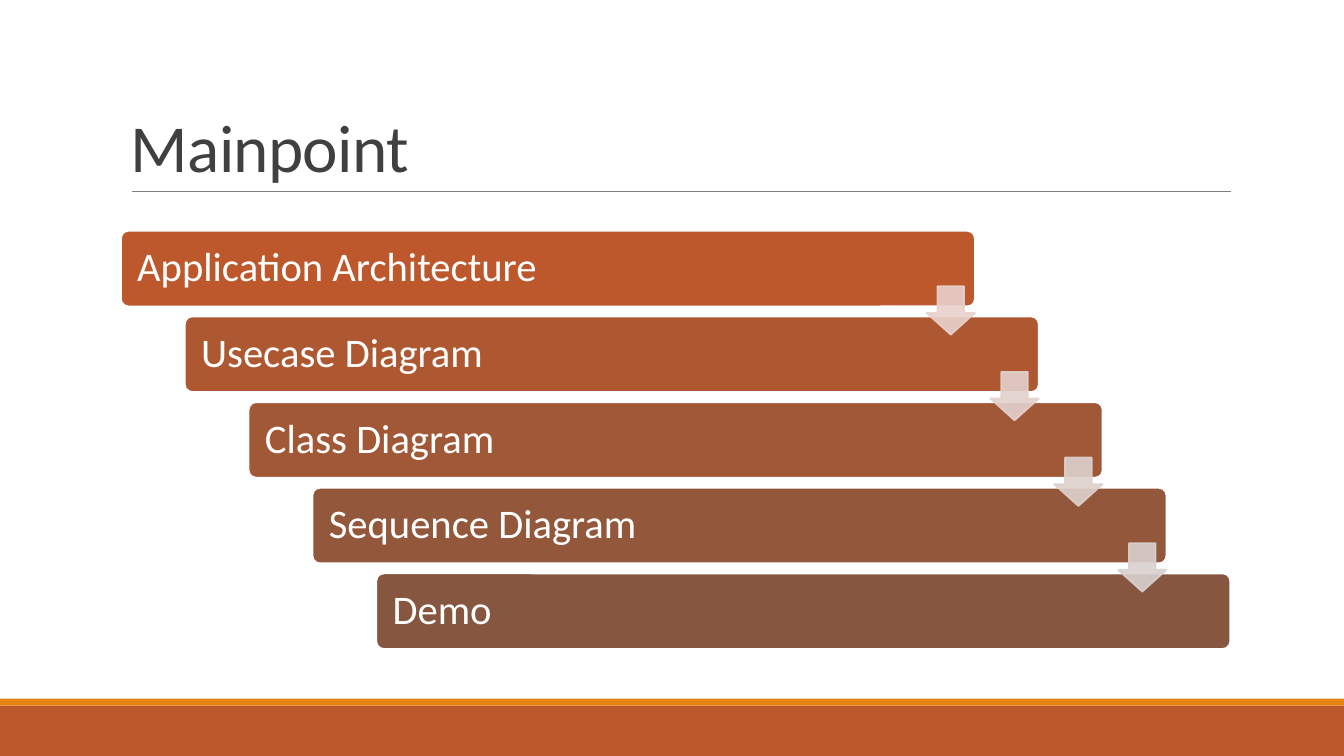
from dataclasses import dataclass

from lxml import etree
from pptx import Presentation
from pptx.dml.color import RGBColor
from pptx.enum.shapes import MSO_CONNECTOR, MSO_SHAPE
from pptx.enum.text import MSO_ANCHOR, PP_ALIGN
from pptx.oxml.ns import qn
from pptx.shapes.autoshape import Shape
from pptx.util import Inches, Pt

RECT = MSO_SHAPE.RECTANGLE
ROUND = MSO_SHAPE.ROUNDED_RECTANGLE
DOWN = MSO_SHAPE.DOWN_ARROW
LINE = MSO_CONNECTOR.STRAIGHT
LEFT = PP_ALIGN.LEFT
MIDDLE = MSO_ANCHOR.MIDDLE
BOTTOM = MSO_ANCHOR.BOTTOM

WHITE = RGBColor(0xFF, 0xFF, 0xFF)
DARK = RGBColor(0x40, 0x40, 0x40)
GRAY = RGBColor(0x80, 0x80, 0x80)
RUST = RGBColor(0xBD, 0x58, 0x2C)
AMBER = RGBColor(0xE4, 0x83, 0x12)
CLAY = RGBColor(0xAE, 0x58, 0x32)
BRICK = RGBColor(0xA0, 0x58, 0x37)
BROWN = RGBColor(0x93, 0x57, 0x3C)
UMBER = RGBColor(0x86, 0x56, 0x40)
ROSE = RGBColor(0xE8, 0xD1, 0xCD)
BLUSH = RGBColor(0xE3, 0xD1, 0xCD)
SAND = RGBColor(0xDE, 0xD1, 0xCE)
ASH = RGBColor(0xD9, 0xD1, 0xCF)

WIDTH = Inches(13.33)
HEIGHT = Inches(7.5)
STEP_X = 4.75
STEP_Y = 11.33


@dataclass(frozen=True)
class Box:
    """Left, top, width and height in percent of the slide."""
    x: float
    y: float
    w: float
    h: float

    def shift(self, n: int) -> "Box":
        return Box(self.x + n * STEP_X, self.y + n * STEP_Y, self.w, self.h)

    def place(self) -> tuple[int, int, int, int]:
        return across(self.x), down(self.y), across(self.w), down(self.h)


@dataclass(frozen=True)
class Step:
    text: str
    color: RGBColor


STEPS = [
    Step("Application Architecture", RUST),
    Step("Usecase Diagram", CLAY),
    Step("Class Diagram", BRICK),
    Step("Sequence Diagram", BROWN),
    Step("Demo", UMBER),
]
ARROWS = [ROSE, BLUSH, SAND, ASH]
BANDS = [(Box(0, 93.33, 100, 6.67), RUST), (Box(0, 92.4, 100, 0.93), AMBER)]
TITLE = Box(9, 4.13, 82.52, 21.2)
BAR = Box(9, 30.53, 63.54, 10)
ARROW = Box(68.94, 37.87, 3.6, 6.4)

BAR_FRAME = {"vertical_anchor": MIDDLE, "word_wrap": True,
             "margin_left": Inches(0.14), "margin_right": Inches(0.14),
             "margin_top": Inches(0.12), "margin_bottom": Inches(0.12)}
BAR_PARA = {"alignment": LEFT, "line_spacing": 0.9}
BAR_FONT = {"name": "Calibri", "size": Pt(29)}
HEAD_FRAME = {"vertical_anchor": BOTTOM, "word_wrap": True}
HEAD_PARA = {"alignment": LEFT, "line_spacing": 0.85}
HEAD_FONT = {"name": "Calibri", "size": Pt(48)}


def across(share: float) -> int:
    return int(WIDTH * share / 100)


def down(share: float) -> int:
    return int(HEIGHT * share / 100)


def style(item: object, values: dict) -> None:
    for name, value in values.items():
        setattr(item, name, value)


def draw(shapes, kind: int, box: Box, fill: RGBColor,
         edge: RGBColor | None = None) -> Shape:
    shape = shapes.add_shape(kind, *box.place())
    shape.shadow.inherit = False
    shape.fill.solid()
    shape.fill.fore_color.rgb = fill
    if edge is None:
        shape.line.fill.background()
    else:
        shape.line.color.rgb = edge
        shape.line.width = Pt(1.25)
    return shape


def write(shape: Shape, text: str, color: RGBColor, frame: dict,
          para: dict, font: dict) -> None:
    style(shape.text_frame, frame)
    line = shape.text_frame.paragraphs[0]
    style(line, para)
    run = line.add_run()
    run.text = text
    style(run.font, font)
    run.font.color.rgb = color


def head(shapes) -> None:
    box = shapes.add_textbox(*TITLE.place())
    write(box, "Mainpoint", DARK, HEAD_FRAME, HEAD_PARA, HEAD_FONT)
    run = box.text_frame.paragraphs[0].runs[0]
    run._r.get_or_add_rPr().set("spc", "-50")


def rule(shapes) -> None:
    y = down(25.33)
    line = shapes.add_connector(LINE, across(9.83), y, across(91.6), y)
    line.line.color.rgb = GRAY
    line.line.width = Pt(0.5)
    etree.SubElement(line._element.spPr, qn("a:effectLst"))


def arrow(shapes, box: Box, color: RGBColor) -> None:
    shape = draw(shapes, DOWN, box, color, color)
    shape.adjustments[0] = 0.55
    shape.adjustments[1] = 0.45
    for tint in shape._element.spPr.iter(qn("a:srgbClr")):
        etree.SubElement(tint, qn("a:alpha")).set("val", "90000")


def main() -> None:
    deck = Presentation()
    deck.slide_width = WIDTH
    deck.slide_height = HEIGHT
    shapes = deck.slides.add_slide(deck.slide_layouts[6]).shapes
    for box, color in BANDS:
        draw(shapes, RECT, box, color)
    rule(shapes)
    head(shapes)
    for n, step in enumerate(STEPS):
        bar = draw(shapes, ROUND, BAR.shift(n), step.color, WHITE)
        bar.adjustments[0] = 0.1
        write(bar, step.text, WHITE, BAR_FRAME, BAR_PARA, BAR_FONT)
    for n, color in enumerate(ARROWS):
        arrow(shapes, ARROW.shift(n), color)
    deck.save("out.pptx")


if __name__ == "__main__":
    main()
